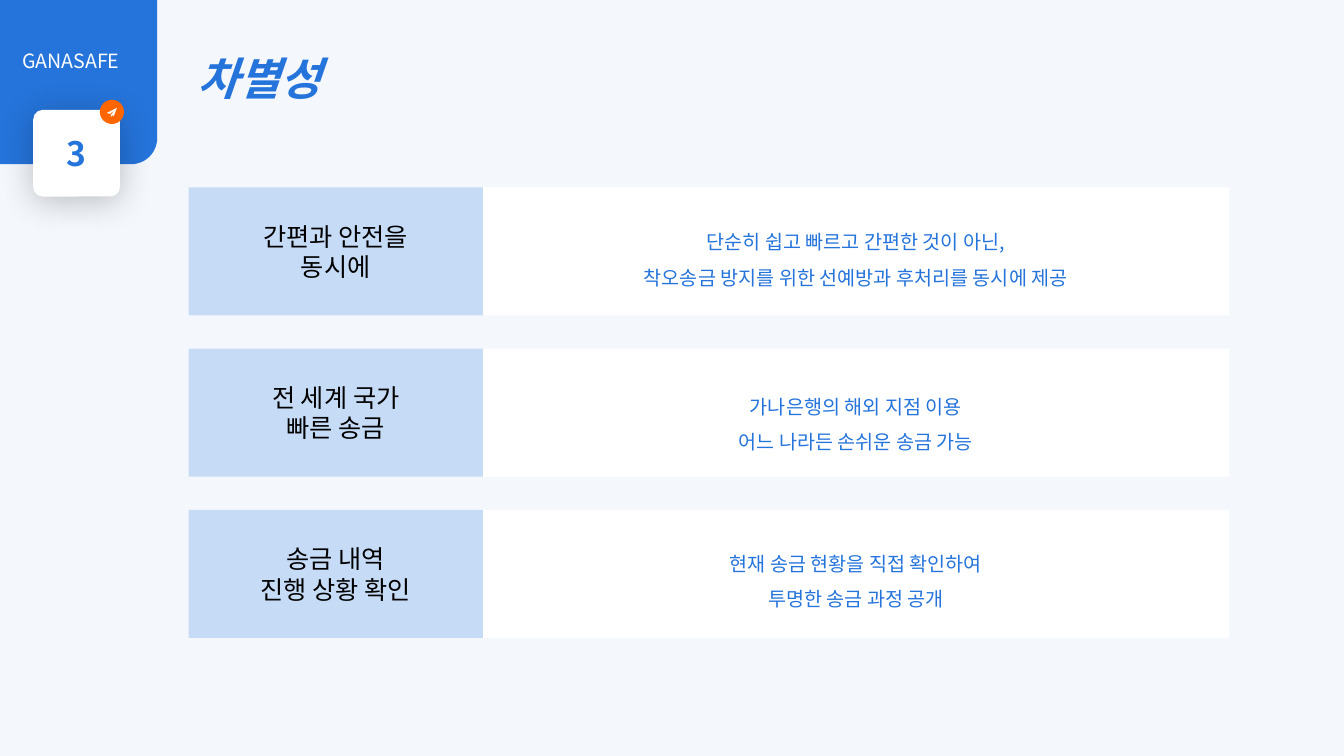
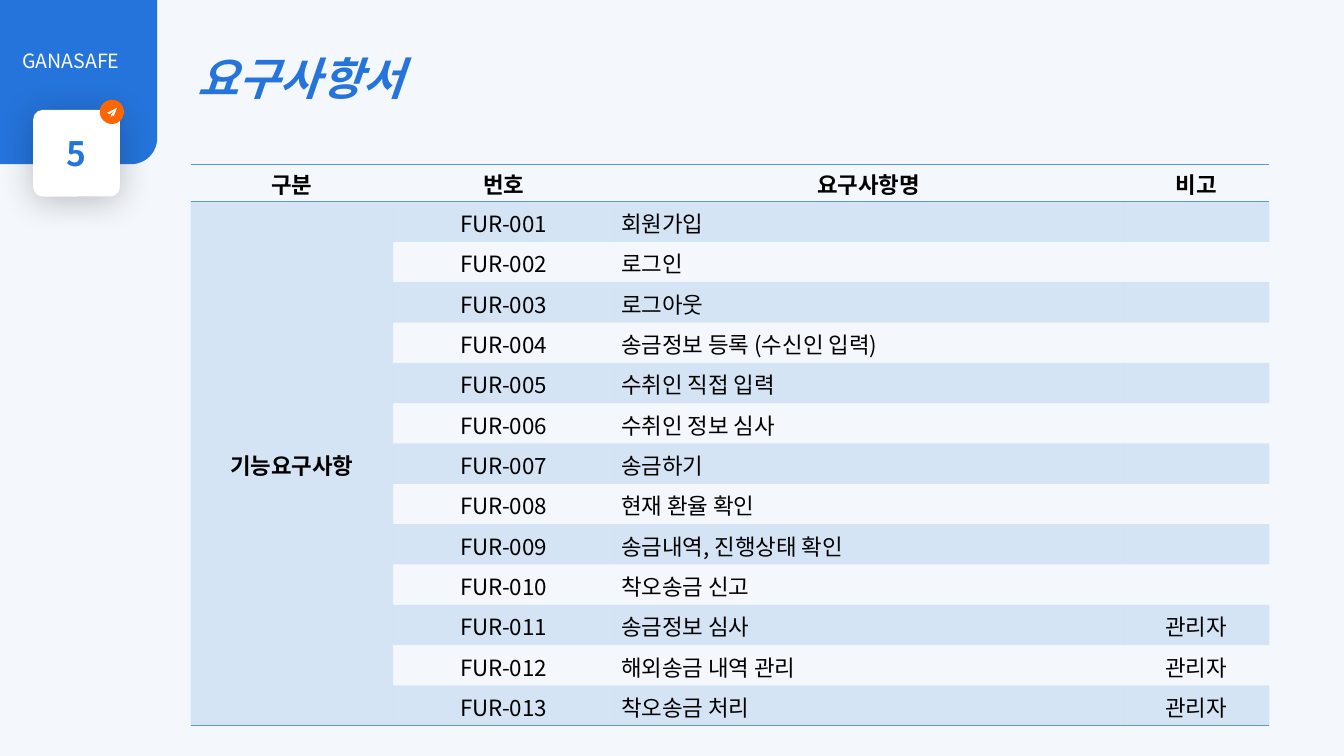
"""Build two slides: a list of strengths and a table of requirements."""
import pptx
import pptx.util
import pptx.dml.color
import pptx.enum.shapes
import pptx.enum.text
import pptx.oxml
import pptx.oxml.ns

Inches = pptx.util.Inches
Pt = pptx.util.Pt
RGBColor = pptx.dml.color.RGBColor
SHAPE = pptx.enum.shapes.MSO_SHAPE
ALIGN = pptx.enum.text.PP_ALIGN
MIDDLE = pptx.enum.text.MSO_ANCHOR.MIDDLE
qn = pptx.oxml.ns.qn

PAGE = RGBColor(0xF4, 0xF7, 0xFC)
BLUE = RGBColor(0x25, 0x74, 0xDB)
PALE = RGBColor(0xC6, 0xDB, 0xF6)
STEEL = RGBColor(0x5B, 0x9B, 0xD5)
ORANGE = RGBColor(0xFF, 0x66, 0x00)
WHITE = RGBColor(0xFF, 0xFF, 0xFF)
BLACK = RGBColor(0, 0, 0)
FONT = "Noto Sans CJK KR"
PLAIN = "{2D5ABB26-0587-4C30-8999-92F81FD0307C}"
NS = pptx.oxml.ns.nsdecls("a")

POINTS = [
    ("간편과 안전을\n동시에", 2.12,
     "단순히 쉽고 빠르고 간편한 것이 아닌,\n착오송금 방지를 위한 선예방과 후처리를 동시에 제공"),
    ("전 세계 국가\n빠른 송금", 3.75,
     "가나은행의 해외 지점 이용\n어느 나라든 손쉬운 송금 가능"),
    ("송금 내역\n진행 상황 확인", 5.31,
     "현재 송금 현황을 직접 확인하여\n투명한 송금 과정 공개"),
]
HEADS = ["구분", "번호", "요구사항명", "비고"]
GROUP = "기능요구사항"
NEEDS = [
    "회원가입", "로그인", "로그아웃", "송금정보 등록 (수신인 입력)",
    "수취인 직접 입력", "수취인 정보 심사", "송금하기", "현재 환율 확인",
    "송금내역, 진행상태 확인", "착오송금 신고", "송금정보 심사",
    "해외송금 내역 관리", "착오송금 처리",
]
ADMIN = "관리자"
ADMIN_FROM = 11


def write(frame, text, size=14, color=BLACK, bold=False, italic=False,
          align=ALIGN.LEFT, space=None):
    for i, line in enumerate(text.split("\n")):
        para = frame.add_paragraph() if i else frame.paragraphs[0]
        para.alignment = align
        para.line_spacing = space
        run = para.add_run()
        run.text = line
        font = run.font
        font.size, font.name = Pt(size), FONT
        font.bold, font.italic = bold, italic
        font.color.rgb = color
        east = pptx.oxml.parse_xml(f'<a:ea {NS} typeface="{FONT}"/>')
        run._r.get_or_add_rPr().append(east)


def paint(shape, color):
    shape.shadow.inherit = False
    shape.fill.solid()
    shape.fill.fore_color.rgb = color
    shape.line.fill.background()


def add_box(slide, kind, x, y, w, h, color):
    box = slide.shapes.add_shape(kind, Inches(x), Inches(y), Inches(w), Inches(h))
    paint(box, color)
    box.text_frame.vertical_anchor = MIDDLE
    return box


def add_text(slide, x, y, w, h, text, wrap=True, **style):
    box = slide.shapes.add_textbox(Inches(x), Inches(y), Inches(w), Inches(h))
    box.text_frame.word_wrap = wrap
    write(box.text_frame, text, **style)


def add_shade(shape):
    glow = pptx.oxml.parse_xml(
        f'<a:outerShdw {NS} blurRad="{Pt(25)}" dist="{Pt(3)}" dir="5400000" '
        'algn="t" rotWithShape="0"><a:srgbClr val="000000">'
        '<a:alpha val="24000"/></a:srgbClr></a:outerShdw>')
    shape._element.spPr.find(qn("a:effectLst")).append(glow)


def add_plane(slide):
    path = slide.shapes.build_freeform(116, 107, scale=Inches(0.01))
    path.add_line_segments(
        [(106, 112), (109, 113), (114, 109), (110, 114), (113, 115)])
    path.move_to(110, 114)
    path.add_line_segments([(111, 115), (110, 116)])
    paint(path.convert_to_shape(), WHITE)


def add_page(deck, number, title):
    slide = deck.slides.add_slide(deck.slide_layouts[6])
    slide.background.fill.solid()
    slide.background.fill.fore_color.rgb = PAGE
    band = add_box(slide, SHAPE.ROUND_1_RECTANGLE, 0, 0, 1.56, 1.63, BLUE)
    band._element.spPr.get_or_add_xfrm().set("flipV", "1")
    card = add_box(slide, SHAPE.ROUNDED_RECTANGLE, 0.33, 1.09, 0.86, 0.86, WHITE)
    card.adjustments[0] = 0.11
    add_shade(card)
    write(card.text_frame, number, size=24, color=BLUE, bold=True,
          align=ALIGN.CENTER)
    add_box(slide, SHAPE.OVAL, 0.99, 0.99, 0.24, 0.24, ORANGE)
    add_plane(slide)
    add_text(slide, 0.12, 0.44, 1.21, 0.34, "GANASAFE", wrap=False, color=WHITE)
    add_text(slide, 1.86, 0.19, 6.67, 0.82, title, size=32, color=BLUE,
             bold=True, italic=True, space=1.5)
    return slide


def add_points(slide):
    for i, (label, top, note) in enumerate(POINTS):
        y = 1.86 + 1.6 * i
        add_box(slide, SHAPE.RECTANGLE, 1.87, y, 10.32, 1.27, WHITE)
        tag = add_box(slide, SHAPE.RECTANGLE, 1.87, y, 2.92, 1.27, PALE)
        write(tag.text_frame, label, size=18, align=ALIGN.CENTER)
        add_text(slide, 4.8, top, 7.38, 0.77, note, color=BLUE,
                 align=ALIGN.CENTER, space=1.5)


def add_rule(cell, side):
    rule = pptx.oxml.parse_xml(
        f'<a:{side} {NS} w="{Pt(1)}"><a:solidFill>'
        f'<a:srgbClr val="{STEEL}"/></a:solidFill></a:{side}>')
    cell._tc.get_or_add_tcPr().append(rule)


def fill_cell(cell, tint):
    if not tint:
        cell.fill.background()
        return
    cell.fill.solid()
    cell.fill.fore_color.rgb = STEEL
    hue = cell._tc.tcPr.find(qn("a:solidFill"))[0]
    hue.append(pptx.oxml.parse_xml(f'<a:alpha {NS} val="20000"/>'))


def add_grid(slide):
    rows = [HEADS]
    for i, need in enumerate(NEEDS, 1):
        rows.append([GROUP if i == 1 else "", f"FUR-{i:03}", need,
                     ADMIN if i >= ADMIN_FROM else ""])
    last = len(rows) - 1
    table = slide.shapes.add_table(
        len(rows), len(HEADS), Inches(1.89), Inches(1.63),
        Inches(10.7), Inches(5.57)).table
    table._tbl.tblPr.find(qn("a:tableStyleId")).text = PLAIN
    table.first_row = table.horz_banding = False
    for col, width in zip(table.columns, (2.01, 2.19, 5.05, 1.45)):
        col.width = Inches(width)
    for r, row in enumerate(rows):
        table.rows[r].height = Inches(0.4 if r else 0.37)
        for c, text in enumerate(row):
            cell = table.cell(r, c)
            cell.margin_left = cell.margin_right = Inches(0.07)
            cell.margin_top = cell.margin_bottom = 0
            cell.vertical_anchor = MIDDLE
            if r == 0:
                add_rule(cell, "lnT")
            if r in (0, last) or (r == 1 and c == 0):
                add_rule(cell, "lnB")
            fill_cell(cell, r % 2 == 1)
            if text:
                left = r > 0 and c == 2
                write(cell.text_frame, text, size=16, bold=r == 0 or c == 0,
                      align=ALIGN.LEFT if left else ALIGN.CENTER, space=1.07)
    table.cell(1, 0).merge(table.cell(last, 0))


def main():
    deck = pptx.Presentation()
    deck.slide_width, deck.slide_height = Inches(13.33), Inches(7.5)
    add_points(add_page(deck, "3", "차별성"))
    add_grid(add_page(deck, "5", "요구사항서"))
    deck.save("out.pptx")


if __name__ == "__main__":
    main()
